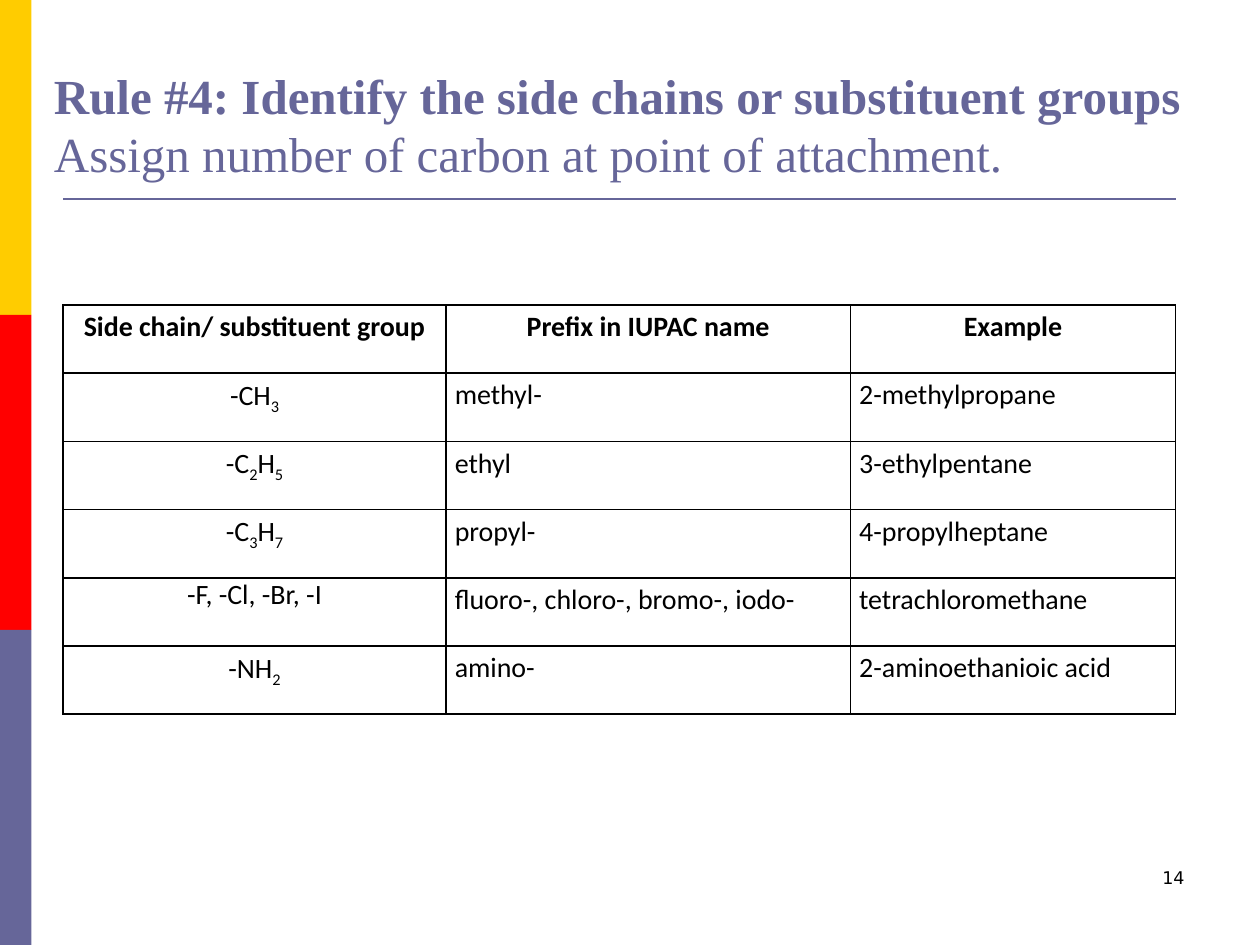
from itertools import groupby

from lxml import etree
from pptx import Presentation, util as u
from pptx.dml.color import RGBColor
from pptx.enum import shapes, text
from pptx.oxml import ns

TITLE = [("Rule #4: Identify the side chains or substituent groups", True),
         ("Assign number of carbon at point of attachment.", False)]
HEAD = ("Side chain/ substituent group", "Prefix in IUPAC name", "Example")
ROWS = [
    ("-CH3", "methyl-", "2-methylpropane"),
    ("-C2H5", "ethyl", "3-ethylpentane"),
    ("-C3H7", "propyl-", "4-propylheptane"),
    ("-F, -Cl, -Br, -I", "fluoro-, chloro-, bromo-, iodo-", "tetrachloromethane"),
    ("-NH2", "amino-", "2-aminoethanioic acid"),
]
PAGE = "14"
THEME = {
    "bands": ("FFCC00", "FF0000", "666699"),
    "main": "666699", "ink": "000000",
    "title": ("Times New Roman", 28),
    "cell": ("Calibri", 16),
    "page": ("DejaVu Sans", 10),
}
WIDE, HIGH = 10, 7.5
LEFT, RIGHT = 0.5, 9.33
COLS = (3.04, 3.21, 2.58)
TOP, STEP = 2.42, 3.25 / (len(ROWS) + 1)
ALIGN = text.PP_ALIGN


def write(par, words, font, color=THEME["ink"], bold=False, sub=False,
          align=ALIGN.LEFT, gap=None):
    par.alignment = align
    if gap:
        par.line_spacing = gap
    parts = groupby(words, str.isdigit) if sub else [(False, words)]
    for low, chars in parts:
        run = par.add_run()
        run.text = "".join(chars)
        run.font.name, size = font
        run.font.size = u.Pt(size)
        run.font.bold = bold
        run.font.color.rgb = RGBColor.from_string(color)
        if low:
            run._r.get_or_add_rPr().set("baseline", "-25000")


def add_box(slide, x, y, w, h):
    frame = slide.shapes.add_textbox(*map(u.Inches, (x, y, w, h))).text_frame
    frame.word_wrap = True
    return frame


def add_bands(slide):
    tall = HIGH / len(THEME["bands"])
    for i, color in enumerate(THEME["bands"]):
        band = slide.shapes.add_shape(
            shapes.MSO_SHAPE.RECTANGLE, 0, u.Inches(i * tall),
            u.Inches(WIDE / 40), u.Inches(tall))
        band.shadow.inherit = False
        band.fill.solid()
        band.fill.fore_color.rgb = RGBColor.from_string(color)
        band.line.fill.background()


def add_rule(slide):
    rule = slide.shapes.add_connector(
        shapes.MSO_CONNECTOR.STRAIGHT,
        *map(u.Inches, (LEFT, 1.58, RIGHT, 1.58)))
    rule.line.color.rgb = RGBColor.from_string(THEME["main"])
    rule.line.width = u.Pt(1.5)
    etree.SubElement(rule._element.spPr, ns.qn("a:effectLst"))


def add_title(slide):
    frame = add_box(slide, 0.33, 0.25, 9.5, 1.25)
    frame.vertical_anchor = text.MSO_ANCHOR.BOTTOM
    par = frame.paragraphs[0]
    for i, (words, bold) in enumerate(TITLE):
        if i:
            par.add_line_break()
        write(par, words, THEME["title"], color=THEME["main"], bold=bold)


def set_edges(cell):
    props = cell._tc.get_or_add_tcPr()
    for i, side in enumerate(("lnL", "lnR", "lnT", "lnB")):
        edge = etree.Element(ns.qn("a:" + side), w=str(u.Pt(1)))
        fill = etree.SubElement(edge, ns.qn("a:solidFill"))
        etree.SubElement(fill, ns.qn("a:srgbClr"), val=THEME["ink"])
        props.insert(i, edge)


def add_grid(slide):
    data = [HEAD] + ROWS
    grid = slide.shapes.add_table(
        len(data), len(COLS),
        *map(u.Inches, (LEFT, TOP, sum(COLS), STEP * len(data)))).table
    grid.first_row = grid.horz_banding = False
    for col, wide in zip(grid.columns, COLS):
        col.width = u.Inches(wide)
    for r, row in enumerate(data):
        grid.rows[r].height = u.Inches(STEP)
        for c, words in enumerate(row):
            cell = grid.cell(r, c)
            cell.fill.background()
            cell.margin_left = cell.margin_right = u.Inches(0.07)
            cell.margin_top = cell.margin_bottom = 0
            mid = r == 0 or c == 0
            write(cell.text_frame.paragraphs[0], words, THEME["cell"],
                  bold=r == 0, sub=c == 0,
                  align=ALIGN.CENTER if mid else ALIGN.LEFT,
                  gap=None if "," in words and c == 0 else 1.15)
            set_edges(cell)


def main():
    deck = Presentation()
    deck.slide_width, deck.slide_height = u.Inches(WIDE), u.Inches(HIGH)
    slide = deck.slides.add_slide(deck.slide_layouts[6])
    add_bands(slide)
    add_rule(slide)
    add_title(slide)
    add_grid(slide)
    page = add_box(slide, 7.17, 6.83, 2.33, 0.5)
    write(page.paragraphs[0], PAGE, THEME["page"], align=ALIGN.RIGHT)
    deck.save("out.pptx")


if __name__ == "__main__":
    main()
